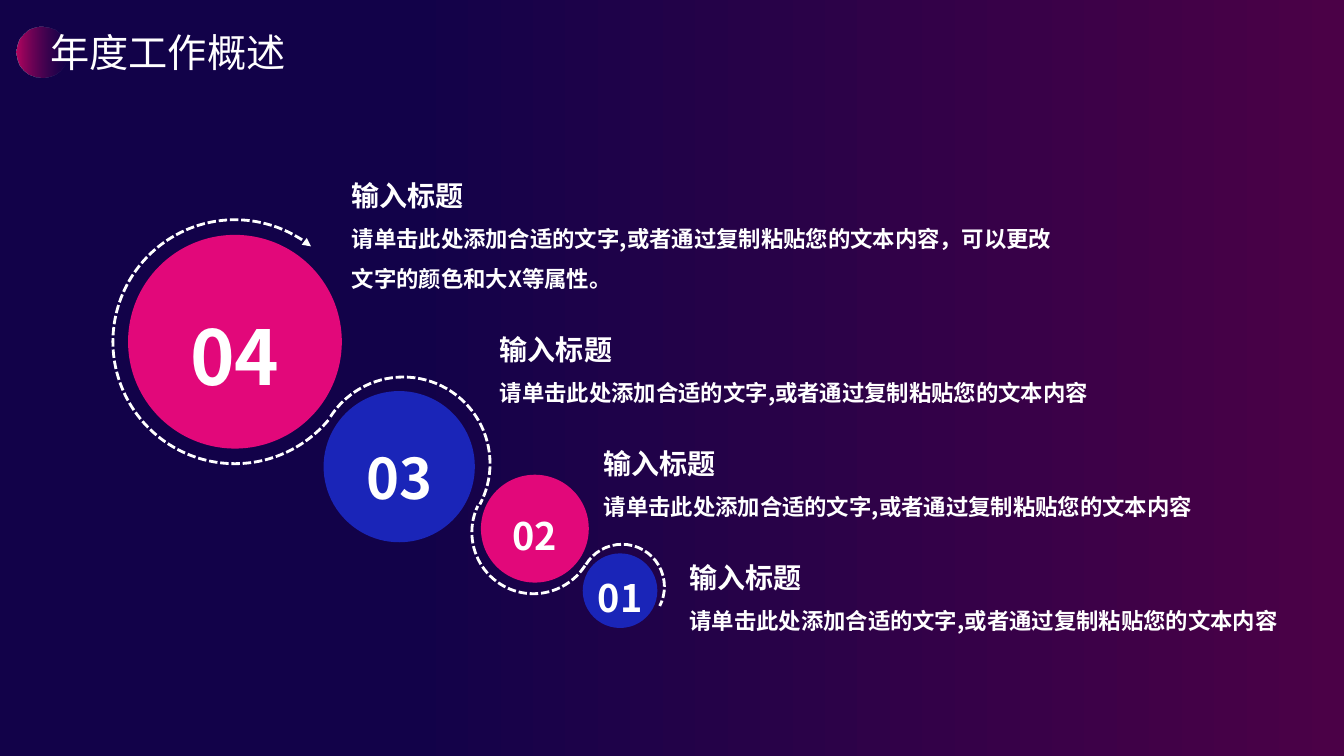
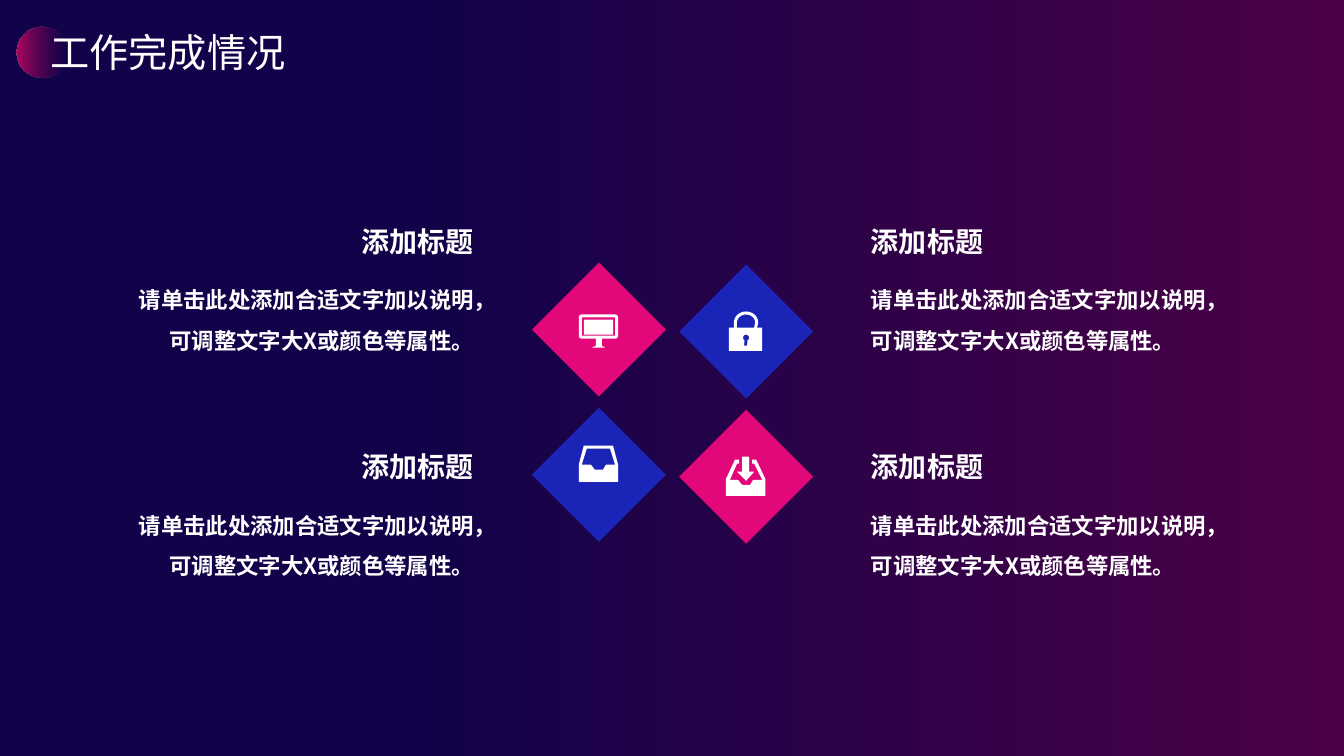
from math import cos, pi, sin

from pptx import Presentation
from pptx.dml.color import RGBColor
from pptx.enum.dml import MSO_LINE
from pptx.enum.shapes import MSO_SHAPE
from pptx.enum.text import MSO_ANCHOR, MSO_AUTO_SIZE, PP_ALIGN
from pptx.oxml.ns import qn
from pptx.util import Inches, Pt
from lxml.etree import SubElement

FONT = "Noto Sans CJK SC"
COLORS = {
    "navy": "120249", "plum": "4B0147", "pink": "E2087A", "blue": "1A25B8",
    "white": "FFFFFF", "glow": "B30660", "glow_end": "570152",
}
ACCENTS = ("pink", "blue")


def rgb(name):
    return RGBColor.from_string(COLORS[name])


def set_gradient(fill, *stops):
    """Fill from left to right with two (position, colour name) stops."""
    fill.gradient()
    fill.gradient_angle = 0
    for stop, (position, color) in zip(fill.gradient_stops, stops):
        stop.position = position
        stop.color.rgb = rgb(color)


def add_run(p, text, size, bold=True):
    r = p.add_run()
    r.text = text
    r.font.size = Pt(size)
    r.font.bold = bold
    r.font.color.rgb = rgb("white")
    r.font.name = FONT
    SubElement(r.font._element, qn("a:ea"), typeface=FONT)


def add_shape(slide, kind, x, y, w, h, color=None):
    sp = slide.shapes.add_shape(kind, Inches(x), Inches(y), Inches(w), Inches(h))
    sp.shadow.inherit = False
    sp.line.fill.background()
    if color:
        sp.fill.solid()
        sp.fill.fore_color.rgb = rgb(color)
    else:
        sp.fill.background()
    return sp


def add_title(slide, text):
    """Fill the title placeholder and set the glowing disc behind it."""
    title = slide.shapes.title
    title.left, title.top = Inches(0.4), Inches(0.23)
    title.width, title.height = Inches(2.63), Inches(0.57)
    tf = title.text_frame
    tf.auto_size = MSO_AUTO_SIZE.NONE
    tf.vertical_anchor = MSO_ANCHOR.TOP
    p = tf.paragraphs[0]
    p.alignment = PP_ALIGN.LEFT
    add_run(p, text, 28, bold=False)

    disc = add_shape(slide, MSO_SHAPE.OVAL, 0.16, 0.26, 0.51, 0.51)
    set_gradient(disc.fill, (0, "glow"), (1, "glow_end"))
    last_color = disc._element.xpath(".//a:gs[last()]/a:srgbClr")[0]
    SubElement(last_color, qn("a:alpha"), val="0")
    title._element.addprevious(disc._element)


def add_text(slide, x, y, w, h, lines, spacing=1.5, align=PP_ALIGN.LEFT,
             anchor=MSO_ANCHOR.TOP):
    """Add a text box with one paragraph for each (text, size) in lines."""
    box = slide.shapes.add_textbox(Inches(x), Inches(y), Inches(w), Inches(h))
    tf = box.text_frame
    tf.word_wrap = True
    tf.vertical_anchor = anchor
    for i, (text, size) in enumerate(lines):
        p = tf.add_paragraph() if i else tf.paragraphs[0]
        p.alignment = align
        p.line_spacing = spacing
        add_run(p, text, size)


def add_number_circle(slide, x, y, diameter, text, size, color):
    sp = add_shape(slide, MSO_SHAPE.OVAL, x, y, diameter, diameter, color)
    tf = sp.text_frame
    tf.margin_left = tf.margin_right = tf.margin_top = tf.margin_bottom = 0
    tf.vertical_anchor = MSO_ANCHOR.MIDDLE
    p = tf.paragraphs[0]
    p.alignment = PP_ALIGN.CENTER
    p.line_spacing = 1.3
    add_run(p, text, size)


def add_dashed_arc(slide, cx, cy, radius, start, end, arrow=False):
    """Draw an arc clockwise between two angles in degrees, 0 at the right."""
    sp = add_shape(slide, MSO_SHAPE.ARC, cx - radius, cy - radius,
                   2 * radius, 2 * radius)
    for i, angle in enumerate((start, end)):
        sp.adjustments[i] = angle * 0.6  # 60000ths of a degree over 100000
    sp.line.color.rgb = rgb("white")
    sp.line.width = Pt(2)
    sp.line.dash_style = MSO_LINE.SQUARE_DOT
    if arrow:
        SubElement(sp.line._get_or_add_ln(), qn("a:tailEnd"), type="triangle")


def add_icon(slide, *outlines):
    """Draw white closed outlines as one shape; inner outlines are holes."""
    builder = None
    for outline in outlines:
        points = [(Inches(x), Inches(y)) for x, y in outline]
        if builder is None:
            builder = slide.shapes.build_freeform(*points[0], scale=1.0)
        else:
            builder.move_to(*points[0])
        builder.add_line_segments(points[1:], close=True)
    sp = builder.convert_to_shape()
    sp.shadow.inherit = False
    sp.fill.solid()
    sp.fill.fore_color.rgb = rgb("white")
    sp.line.fill.background()


def curve(cx, cy, rx, ry, start=180, end=360, steps=24):
    angles = [(start + (end - start) * i / steps) * pi / 180
              for i in range(steps + 1)]
    return [(cx + rx * cos(a), cy + ry * sin(a)) for a in angles]


def rect(x1, y1, x2, y2):
    return [(x1, y1), (x2, y1), (x2, y2), (x1, y2)]


def add_monitor_icon(slide):
    add_shape(slide, MSO_SHAPE.RECTANGLE, 5.79, 3.17, 0.29, 0.15, "white")
    frame = [
        *curve(5.77, 3.15, 0.03, 0.03, 180, 270, 6),
        *curve(6.1, 3.15, 0.03, 0.03, 270, 360, 6),
        *curve(6.1, 3.33, 0.03, 0.03, 0, 90, 6),
        (5.97, 3.36), (5.97, 3.43), (6, 3.45), (5.87, 3.45), (5.91, 3.43),
        (5.91, 3.36), *curve(5.77, 3.33, 0.03, 0.03, 90, 180, 6),
    ]
    add_icon(slide, frame, rect(5.77, 3.15, 6.1, 3.33))


def add_lock_icon(slide):
    body = [(7.23, 3.25), (7.28, 3.25), *curve(7.4, 3.2, 0.12, 0.11),
            (7.51, 3.25), (7.56, 3.25), (7.56, 3.48), (7.23, 3.48)]
    shackle_gap = [(7.31, 3.25), *curve(7.4, 3.2, 0.09, 0.08), (7.48, 3.25)]
    keyhole = [(7.38, 3.43), *curve(7.4, 3.35, 0.03, 0.03, 120, 420),
               (7.41, 3.43)]
    add_icon(slide, body, shackle_gap, keyhole)


def add_tray_icon(slide):
    add_icon(
        slide,
        [(5.79, 4.42), (6.08, 4.42), (6.13, 4.61), (6.13, 4.78),
         (5.74, 4.78), (5.74, 4.61)],
        [(5.82, 4.45), (6.05, 4.45), (6.1, 4.61), (6.01, 4.61), (5.98, 4.66),
         (5.9, 4.66), (5.86, 4.61), (5.77, 4.61)],
    )


def add_download_icon(slide):
    add_icon(
        slide,
        [(7.36, 4.53), (7.43, 4.53), (7.43, 4.68), (7.48, 4.68), (7.4, 4.77),
         (7.31, 4.68), (7.36, 4.68)],
        [(7.5, 4.56), (7.46, 4.56), (7.46, 4.6), (7.48, 4.6), (7.56, 4.76),
         (7.47, 4.76), (7.44, 4.81), (7.36, 4.81), (7.32, 4.76), (7.24, 4.76),
         (7.31, 4.6), (7.33, 4.6), (7.33, 4.56), (7.29, 4.56), (7.2, 4.75),
         (7.2, 4.92), (7.59, 4.92), (7.59, 4.75)],
    )


def add_overview_slide(slide):
    add_title(slide, "年度工作概述")
    add_dashed_arc(slide, 2.33, 3.39, 1.21, 40, 308.6, arrow=True)
    add_dashed_arc(slide, 4, 4.6, 0.86, 212.8, 28)
    add_dashed_arc(slide, 5.29, 5.28, 0.61, 33, 205.3)
    add_dashed_arc(slide, 6.17, 5.82, 0.42, 211.4, 27.2)

    circles = [(1.27, 2.33, 2.12, 54), (3.21, 3.88, 1.5, 40),
               (4.77, 4.71, 1.07, 27), (5.78, 5.49, 0.74, 27)]
    for i, (x, y, diameter, size) in enumerate(circles):
        add_number_circle(slide, x, y, diameter, f"{4 - i:02}", size,
                          ACCENTS[i % 2])

    body = "请单击此处添加合适的文字,或者通过复制粘贴您的文本内容"
    long_body = body + "，可以更改文字的颜色和大X等属性。"
    entries = [(3.39, 1.55, 7.28, 1.41, long_body), (4.86, 3.08, 6.4, 0.96, body),
               (5.89, 4.21, 6.4, 0.96, body), (6.74, 5.34, 6.4, 0.96, body)]
    for x, y, w, h, text in entries:
        add_text(slide, x, y, w, h, [("输入标题", 20), (text, 16)])


def add_completion_slide(slide):
    add_title(slide, "工作完成情况")
    body = "请单击此处添加合适文字加以说明，可调整文字大X或颜色等属性。"
    columns = [(1.94, 1.22, 3.58, PP_ALIGN.RIGHT), (8.54, 8.54, 3.94, PP_ALIGN.LEFT)]
    for row in range(2):
        for col, (title_x, body_x, body_w, align) in enumerate(columns):
            diamond = add_shape(slide, MSO_SHAPE.RECTANGLE, 5.47 + 1.46 * col,
                                2.8 + 1.44 * row + 0.02 * col, 0.94, 0.94,
                                ACCENTS[(row + col) % 2])
            diamond.rotation = 45
            y = 2.11 + 2.24 * row
            add_text(slide, title_x, y, 2.86, 0.56, [("添加标题", 20)],
                     spacing=1.0, align=align, anchor=MSO_ANCHOR.MIDDLE)
            add_text(slide, body_x, y + 0.55, body_w, 1.1, [(body, 16)],
                     align=align)
    for add_symbol in (add_monitor_icon, add_lock_icon, add_tray_icon,
                       add_download_icon):
        add_symbol(slide)


def main():
    prs = Presentation()
    prs.slide_width, prs.slide_height = Inches(13.33), Inches(7.5)
    set_gradient(prs.slide_master.background.fill, (0.3, "navy"), (1, "plum"))
    title_only = prs.slide_layouts[5]
    for build in (add_overview_slide, add_completion_slide):
        build(prs.slides.add_slide(title_only))
    prs.save("out.pptx")


if __name__ == "__main__":
    main()
